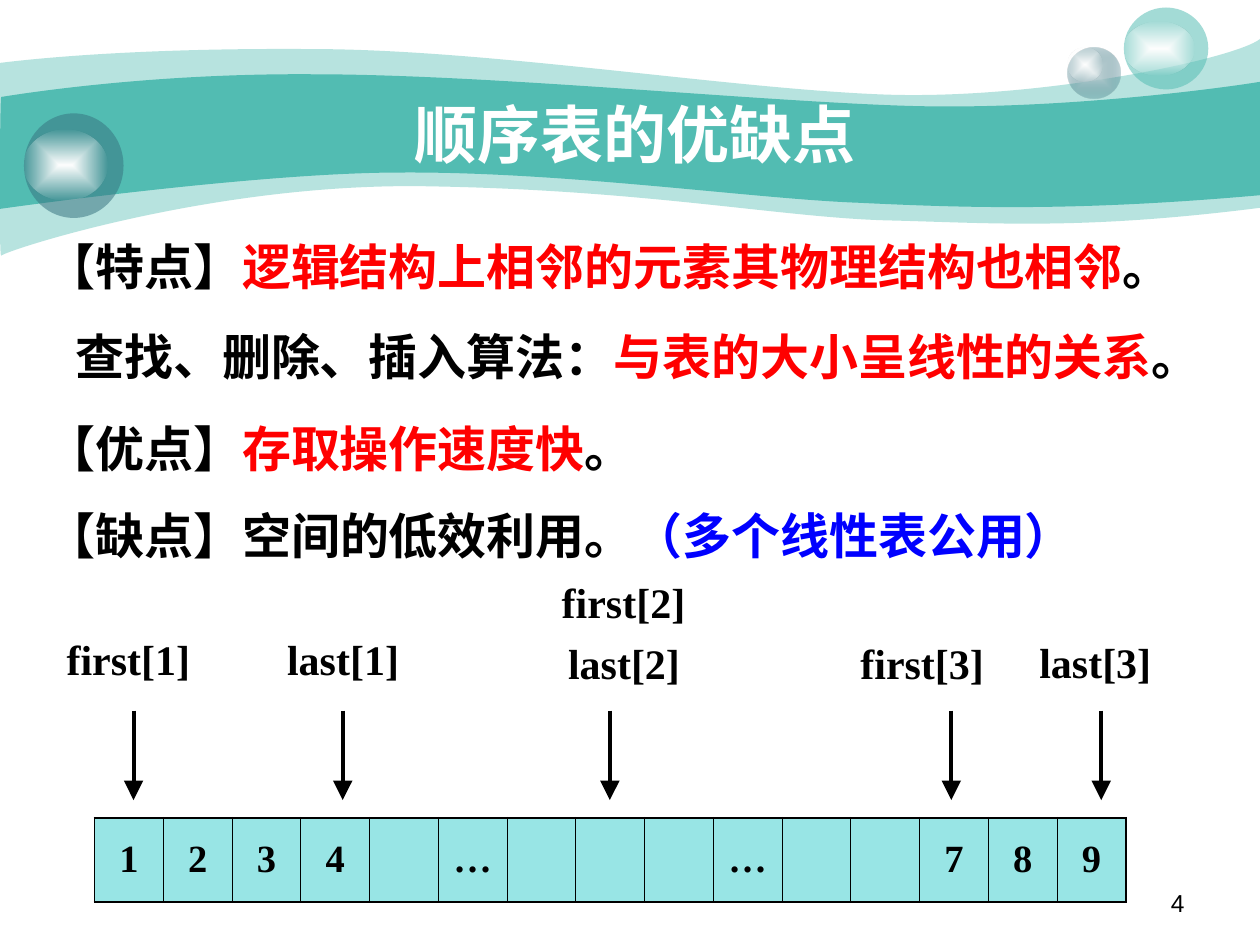
from lxml import etree
from pptx import Presentation
from pptx.dml.color import RGBColor
from pptx.enum.shapes import MSO_CONNECTOR, MSO_SHAPE
from pptx.enum.text import MSO_ANCHOR, MSO_AUTO_SIZE, PP_ALIGN
from pptx.oxml import parse_xml
from pptx.oxml.ns import nsdecls, qn
from pptx.util import Inches, Pt

STRAIGHT = MSO_CONNECTOR.STRAIGHT
OVAL = MSO_SHAPE.OVAL
MIDDLE = MSO_ANCHOR.MIDDLE
FIT_SHAPE = MSO_AUTO_SIZE.SHAPE_TO_FIT_TEXT
LEFT, CENTER, RIGHT = PP_ALIGN.LEFT, PP_ALIGN.CENTER, PP_ALIGN.RIGHT

SERIF = "Times New Roman"
BLACK, WHITE, RED, BLUE = "000000", "FFFFFF", "FF0000", "0000FF"
TEAL, SLATE, AQUA = "52BCB2", "37737F", "33CCCC"

PALE_WAVE = [
    (0, 0.5), (0.24, 0.47, 1.07, 0.38, 2.47, 0.39), (3.86, 0.39, 5.75, 0.7, 6.99, 0.75),
    (8.22, 0.8, 9.8, 0.47, 10, 0.31), (10, 1.65), (8.58, 1.83, 7.87, 1.77, 7.05, 1.75),
    (6.22, 1.73, 5.15, 1.51, 3.43, 1.48), (1.72, 1.44, 0.04, 1.99, 0.01, 2.03),
    (-0.01, 2.08, 0, 0.75, 0, 0.5),
]
DEEP_WAVE = [
    (0.01, 0.77), (0.02, 0.77, 1.1, 0.58, 2.48, 0.59), (3.86, 0.59, 5.95, 0.8, 7.18, 0.84),
    (8.41, 0.88, 9.76, 0.69, 10, 0.65), (10, 1.55), (8.53, 1.68, 7.65, 1.65, 6.82, 1.61),
    (5.99, 1.58, 4.47, 1.36, 3.17, 1.37), (2.03, 1.37, -0.02, 1.66, -0.01, 1.66),
    (0, 1.66, 0, 0.77, 0.01, 0.77),
]
STATEMENTS = [
    (0.27, 1.83, 9.21, [("【特点】", BLACK), ("逻辑结构上相邻的元素其物理结构也相邻", RED), ("。", BLACK)]),
    (0.5, 2.54, 9.33, [("查找、删除、插入算法：", BLACK), ("与表的大小呈线性的关系", RED), ("。", BLACK)]),
    (0.27, 3.96, 8.58, [("【缺点】空间的低效利用。", BLACK), ("（多个线性表公用）", BLUE)]),
    (0.27, 3.27, 8.58, [("【优点】", BLACK), ("存取操作速度快", RED), ("。", BLACK)]),
]
POINTER_LABELS = [
    ("first[1]", 0.43, 4.98, 1.18), ("last[1]", 2.18, 4.98, 1.09),
    ("first[2]", 4.36, 4.53, 1.18), ("first[3]", 6.73, 5.01, 1.18),
    ("last[2]", 4.41, 5.01, 1.09), ("last[3]", 8.15, 5, 1.09),
]
POINTER_XS = [1.06, 2.72, 4.84, 7.55, 8.74]
MEMORY = ["1", "2", "3", "4", "", "…", "", "", "", "…", "", "", "7", "8", "9"]


def rgb(value):
    """Turn a hex string into a colour."""
    return RGBColor.from_string(value)


def set_fill(fill, holder, color, opacity=100):
    """Give a solid fill, partly transparent if opacity is below 100."""
    fill.solid()
    fill.fore_color.rgb = rgb(color)
    if opacity < 100:
        tint = holder.find(qn("a:solidFill")).find(qn("a:srgbClr"))
        etree.SubElement(tint, qn("a:alpha")).set("val", str(opacity * 1000))


def set_glow(shape, inner, outer, outer_opacity):
    """Give a gradient that runs from the centre to the rim."""
    shape.fill.background()
    gradient = parse_xml(
        f'<a:gradFill {nsdecls("a")} rotWithShape="1"><a:gsLst>'
        f'<a:gs pos="0"><a:srgbClr val="{inner}"/></a:gs>'
        f'<a:gs pos="100000"><a:srgbClr val="{outer}">'
        f'<a:alpha val="{outer_opacity * 1000}"/></a:srgbClr></a:gs></a:gsLst>'
        '<a:path path="rect"><a:fillToRect l="50000" t="50000" r="50000" b="50000"/></a:path>'
        '</a:gradFill>')
    properties = shape.element.spPr
    properties.replace(properties.find(qn("a:noFill")), gradient)


def bend_segments(shape, outline):
    """Merge each three line steps of a curved segment into one cubic curve."""
    steps = iter(list(shape.element.iter(qn("a:lnTo"))))
    for segment in outline[1:]:
        group = [next(steps) for _ in range(len(segment) // 2)]
        if len(group) == 3:
            curve = etree.Element(qn("a:cubicBezTo"))
            group[0].addprevious(curve)
            for step in group:
                curve.append(step[0])
                step.getparent().remove(step)


def add_wave(slide, outline, opacity=100):
    """Draw one band of the banner."""
    start, *others = [(Inches(x), Inches(y)) for segment in outline
                      for x, y in zip(segment[::2], segment[1::2])]
    builder = slide.shapes.build_freeform(*start)
    builder.add_line_segments(others, close=True)
    wave = builder.convert_to_shape()
    bend_segments(wave, outline)
    wave.shadow.inherit = False
    wave.line.fill.background()
    set_fill(wave.fill, wave.element.spPr, TEAL, opacity)


def add_ball(slide, left, top, width, height):
    """Draw a borderless ellipse and return it."""
    ball = slide.shapes.add_shape(OVAL, *map(Inches, (left, top, width, height)))
    ball.shadow.inherit = False
    ball.line.fill.background()
    return ball


def add_bubbles(slide):
    """Draw the three glossy bubbles of the banner."""
    set_glow(add_ball(slide, 8.47, 0.38, 0.42, 0.4), "CCDBDE", SLATE, 31)
    set_glow(add_ball(slide, 8.47, 0.38, 0.28, 0.27), WHITE, WHITE, 0)
    for body, shine, color in [
        ((8.92, 0.06, 0.67, 0.65), (8.92, 0.17, 0.56, 0.43), TEAL),
        ((0.19, 0.9, 0.79, 0.83), (0.19, 1.03, 0.66, 0.56), SLATE),
    ]:
        bubble = add_ball(slide, *body)
        set_fill(bubble.fill, bubble.element.spPr, color, 53)
        set_glow(add_ball(slide, *shine), WHITE, WHITE, 0)


def write(paragraph, pieces, size, align=LEFT, font=SERIF, bold=True):
    """Add (text, colour) pieces to a paragraph as runs."""
    paragraph.alignment = align
    for text, color in pieces:
        run = paragraph.add_run()
        run.text = text
        run.font.name = font
        run.font.size = Pt(size)
        run.font.bold = bold
        run.font.color.rgb = rgb(color)


def add_text(slide, left, top, width, height, wrap=True):
    """Add a text box and return its first paragraph."""
    frame = slide.shapes.add_textbox(*map(Inches, (left, top, width, height))).text_frame
    frame.word_wrap = wrap
    frame.auto_size = FIT_SHAPE
    return frame.paragraphs[0]


def set_title(slide, text):
    """Place the title over the banner."""
    title = slide.shapes.title
    title.left, title.top, title.width, title.height = map(Inches, (1, 0.75, 8.08, 0.62))
    title.text_frame.vertical_anchor = MIDDLE
    write(title.text_frame.paragraphs[0], [(text, WHITE)], 36, CENTER)
    slide.shapes.element.append(title.element)


def add_pointer(slide, x):
    """Draw an arrow down to the memory row."""
    arrow = slide.shapes.add_connector(STRAIGHT, Inches(x), Inches(5.64), Inches(x), Inches(6.35))
    arrow.line.color.rgb = rgb(BLACK)
    arrow.line.width = Pt(2.25)
    outline = arrow.element.spPr.find(qn("a:ln"))
    etree.SubElement(outline, qn("a:tailEnd"), type="triangle", w="lg", len="lg")
    etree.SubElement(arrow.element.spPr, qn("a:effectLst"))


def set_borders(cell, widths):
    """Give black left, right, top and bottom borders of the given widths."""
    for index, (side, width) in enumerate(zip("LRTB", widths)):
        border = parse_xml(
            f'<a:ln{side} {nsdecls("a")} w="{Pt(width)}"><a:solidFill>'
            f'<a:srgbClr val="{BLACK}"/></a:solidFill></a:ln{side}>')
        cell._tc.get_or_add_tcPr().insert(index, border)


def add_memory(slide):
    """Add the row of memory cells as a table."""
    last = len(MEMORY) - 1
    table = slide.shapes.add_table(1, len(MEMORY), *map(Inches, (0.75, 6.49, 8.19, 0.67))).table
    for index, value in enumerate(MEMORY):
        cell = table.cell(0, index)
        cell.vertical_anchor = MIDDLE
        set_fill(cell.fill, cell._tc.get_or_add_tcPr(), AQUA, 50)
        set_borders(cell, (1.08 if index == 0 else 0.45, 1.08 if index == last else 0.45, 1.08, 1.08))
        if value:
            write(cell.text_frame.paragraphs[0], [(value, BLACK)], 22, CENTER)


def main():
    """Build the slide and save it."""
    deck = Presentation()
    deck.slide_width, deck.slide_height = Inches(10), Inches(7.5)
    slide = deck.slides.add_slide(deck.slide_layouts[5])
    add_wave(slide, PALE_WAVE, 41)
    add_wave(slide, DEEP_WAVE)
    add_bubbles(slide)
    write(add_text(slide, 7.17, 7, 2.33, 0.35), [("4", BLACK)], 14, RIGHT, "Arial", False)
    set_title(slide, "顺序表的优缺点")
    for left, top, width, pieces in STATEMENTS:
        write(add_text(slide, left, top, width, 0.57), pieces, 28)
    for x in POINTER_XS:
        add_pointer(slide, x)
    for label, left, top, width in POINTER_LABELS:
        write(add_text(slide, left, top, width, 0.5, wrap=False), [(label, BLACK)], 24)
    add_memory(slide)
    deck.save("out.pptx")


if __name__ == "__main__":
    main()
